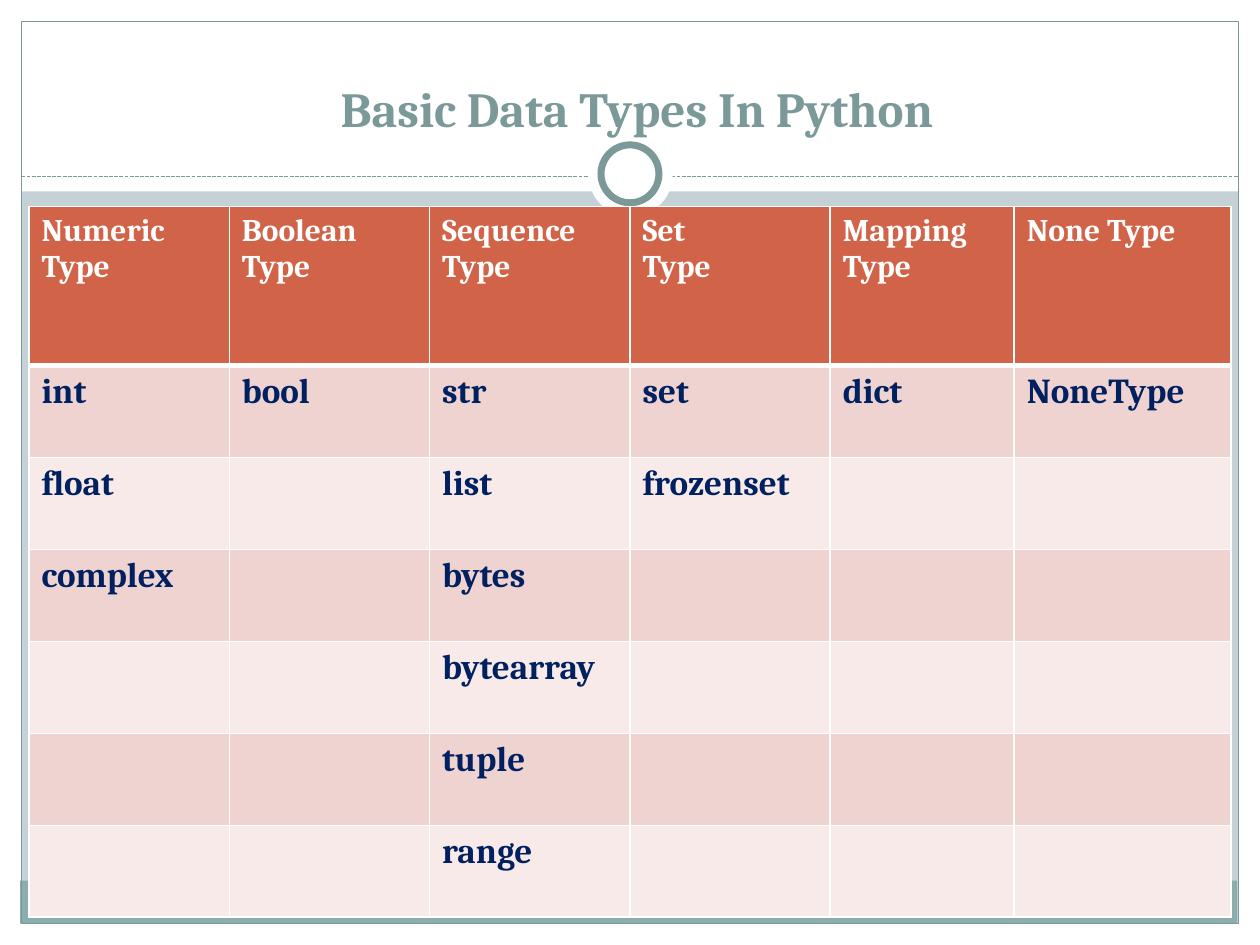
from dataclasses import dataclass

from pptx import Presentation
from pptx import util as u
from pptx.dml.color import RGBColor
from pptx.enum import dml, shapes, text
from pptx.oxml import parse_xml
from pptx.oxml.ns import nsdecls


@dataclass(frozen=True)
class Theme:
    font: str = "Cambria"
    background: str = "C5D1D7"
    white: str = "FFFFFF"
    accent: str = "7C999A"
    footer: str = "8CADAE"
    header: str = "D16349"
    bands: tuple = ("EED3D0", "F7EAE9")
    body: str = "002060"
    title_size: int = 28
    header_size: int = 18
    body_size: int = 20


COLUMNS = {
    "Numeric Type": ["int", "float", "complex"],
    "Boolean Type": ["bool"],
    "Sequence Type": ["str", "list", "bytes", "bytearray", "tuple", "range"],
    "Set\nType": ["set", "frozenset"],
    "Mapping Type": ["dict"],
    "None Type": ["NoneType"],
}
COLUMN_WIDTHS = [1.59, 1.59, 1.59, 1.59, 1.46, 1.72]
HEADER_HEIGHT, ROW_HEIGHT = 1.26, 0.73


class SlideBuilder:
    def __init__(self, slide, theme):
        self.slide = slide
        self.theme = theme

    def background(self, color):
        fill = self.slide.background.fill
        fill.solid()
        fill.fore_color.rgb = RGBColor.from_string(color)

    def stroke(self, line, color, width):
        line.color.rgb = RGBColor.from_string(color)
        line.width = u.Pt(width)

    def shape(self, kind, box, fill=None, line=None, width=0.75):
        shape = self.slide.shapes.add_shape(kind, *map(u.Inches, box))
        shape.shadow.inherit = False
        if fill:
            shape.fill.solid()
            shape.fill.fore_color.rgb = RGBColor.from_string(fill)
        else:
            shape.fill.background()
        if line:
            self.stroke(shape.line, line, width)
        else:
            shape.line.fill.background()

    def dashed_line(self, start, end, color):
        line = self.slide.shapes.add_connector(
            shapes.MSO_CONNECTOR.STRAIGHT, *map(u.Inches, start + end))
        self.stroke(line.line, color, 0.75)
        line.line.dash_style = dml.MSO_LINE.SQUARE_DOT
        line.element.spPr.append(parse_xml(f"<a:effectLst {nsdecls('a')}/>"))

    def format_text(self, text_frame, size, color):
        for paragraph in text_frame.paragraphs:
            for run in paragraph.runs:
                run.font.name = self.theme.font
                run.font.size = u.Pt(size)
                run.font.bold = True
                run.font.color.rgb = RGBColor.from_string(color)

    def title(self, wording, box):
        title = self.slide.shapes.title
        title.left, title.top, title.width, title.height = map(u.Inches, box)
        frame = title.text_frame
        frame.text = wording
        frame.auto_size = text.MSO_AUTO_SIZE.NONE
        frame.vertical_anchor = text.MSO_ANCHOR.BOTTOM
        frame.paragraphs[0].alignment = text.PP_ALIGN.CENTER
        self.format_text(frame, self.theme.title_size, self.theme.accent)
        # Bring the title in front of the frame panels
        self.slide.shapes.element.append(title.element)

    def cell_borders(self, cell, top, bottom):
        properties = cell._tc.get_or_add_tcPr()
        widths = {"lnL": 1, "lnR": 1, "lnT": top, "lnB": bottom}
        for index, (side, width) in enumerate(widths.items()):
            properties.insert(index, parse_xml(
                f'<a:{side} {nsdecls("a")} w="{u.Pt(width)}"><a:solidFill>'
                f'<a:srgbClr val="{self.theme.white}"/></a:solidFill></a:{side}>'))

    def table(self, left, top, columns, widths):
        theme = self.theme
        row_count = 1 + max(map(len, columns.values()))
        heights = [HEADER_HEIGHT] + [ROW_HEIGHT] * (row_count - 1)
        table = self.slide.shapes.add_table(
            row_count, len(columns), u.Inches(left), u.Inches(top),
            u.Inches(sum(widths)), u.Inches(sum(heights))).table
        for column, width in zip(table.columns, widths):
            column.width = u.Inches(width)
        for row, height in zip(table.rows, heights):
            row.height = u.Inches(height)

        for column_index, (heading, types) in enumerate(columns.items()):
            entries = [heading] + types
            for row_index in range(row_count):
                cell = table.cell(row_index, column_index)
                is_header = row_index == 0
                fill = theme.header if is_header else theme.bands[(row_index - 1) % 2]
                cell.fill.solid()
                cell.fill.fore_color.rgb = RGBColor.from_string(fill)
                self.cell_borders(cell, top=3 if row_index == 1 else 1,
                                  bottom=3 if is_header else 1)
                if row_index < len(entries):
                    cell.text_frame.text = entries[row_index]
                    self.format_text(
                        cell.text_frame,
                        theme.header_size if is_header else theme.body_size,
                        theme.white if is_header else theme.body)


def main():
    presentation = Presentation()
    presentation.slide_width, presentation.slide_height = u.Inches(10), u.Inches(7.5)
    slide = presentation.slides.add_slide(presentation.slide_layouts[5])
    theme = Theme()
    builder = SlideBuilder(slide, theme)
    rectangle, oval = shapes.MSO_SHAPE.RECTANGLE, shapes.MSO_SHAPE.OVAL

    # White margins and title panel
    builder.background(theme.background)
    for box in [(0, 7.33, 10, 0.17), (0, 0, 10, 1.52),
                (0, 0, 0.17, 7.5), (9.83, 0, 0.17, 7.5)]:
        builder.shape(rectangle, box, fill=theme.white)

    # Footer band, frame and divider with its ring
    builder.shape(rectangle, (0.16, 6.99, 9.66, 0.34), fill=theme.footer)
    builder.shape(rectangle, (0.17, 0.17, 9.66, 7.16), line=theme.accent)
    builder.dashed_line((0.17, 1.4), (9.83, 1.4), theme.accent)
    builder.shape(oval, (4.67, 1.05, 0.67, 0.67), fill=theme.white)
    builder.shape(oval, (4.77, 1.15, 0.46, 0.46), fill=theme.white,
                  line=theme.accent, width=4)

    # Title and data types
    builder.title("Basic Data Types In Python", (0.39, 0.31, 9.33, 0.83))
    builder.table(0.23, 1.64, COLUMNS, COLUMN_WIDTHS)

    presentation.save("out.pptx")


if __name__ == "__main__":
    main()
